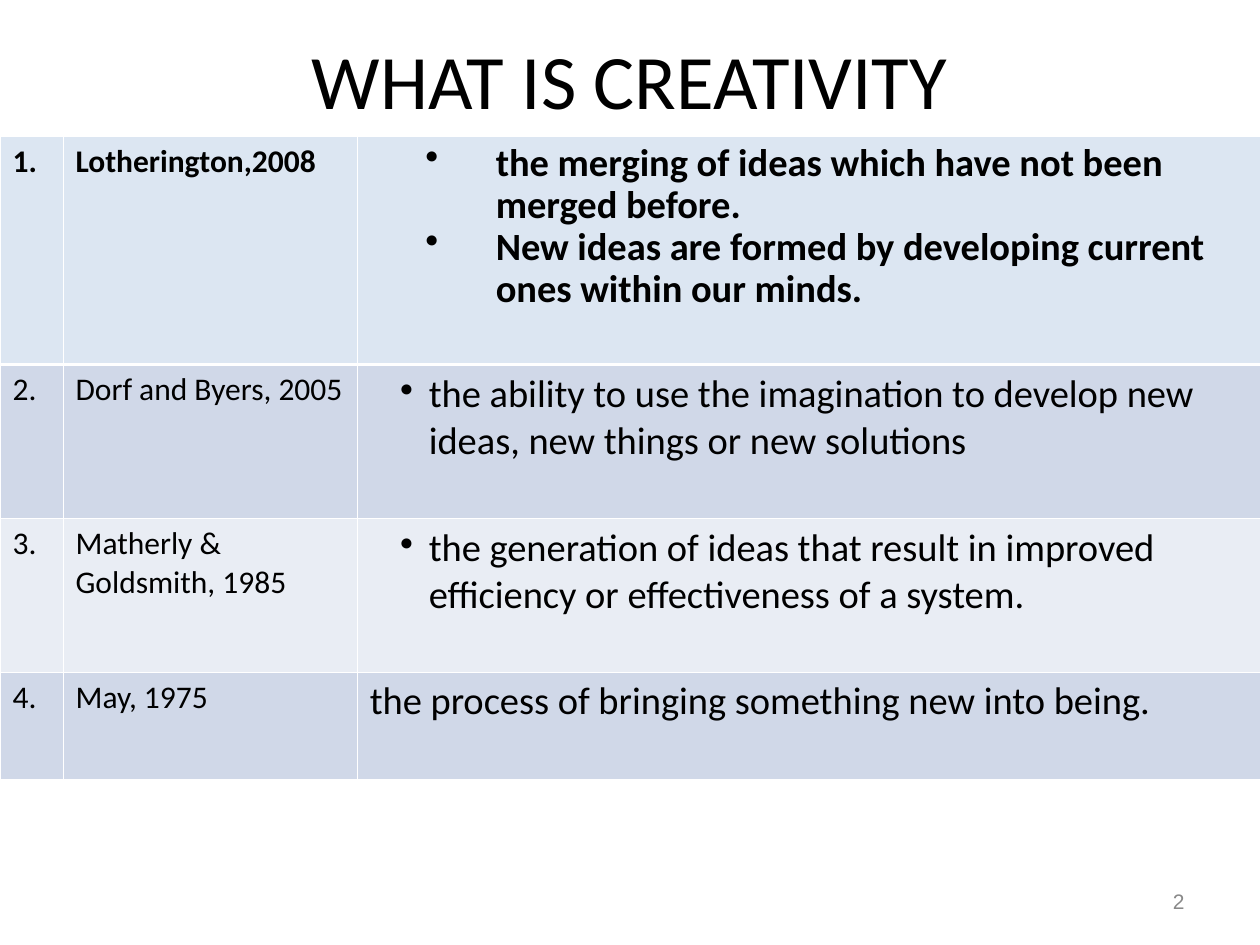
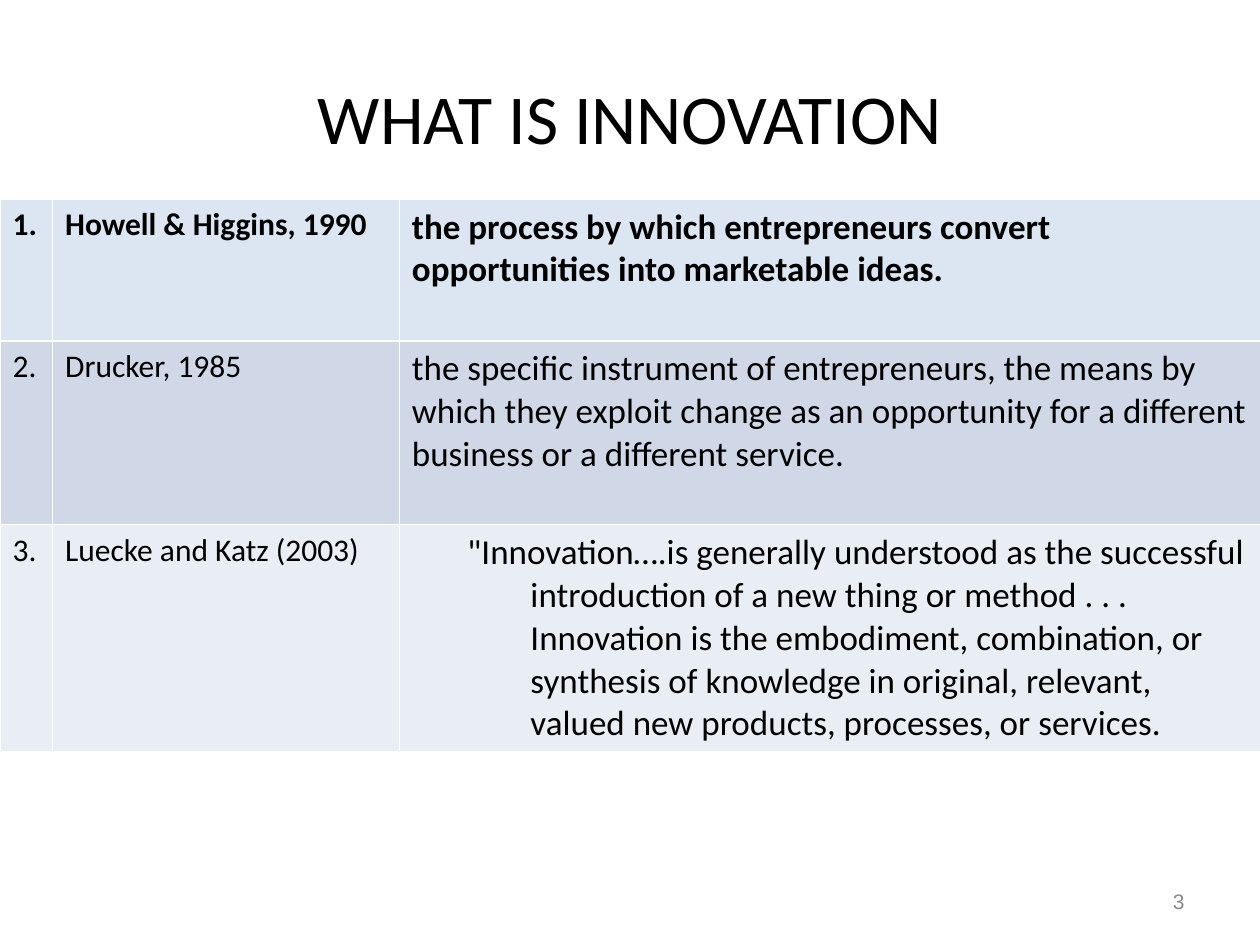
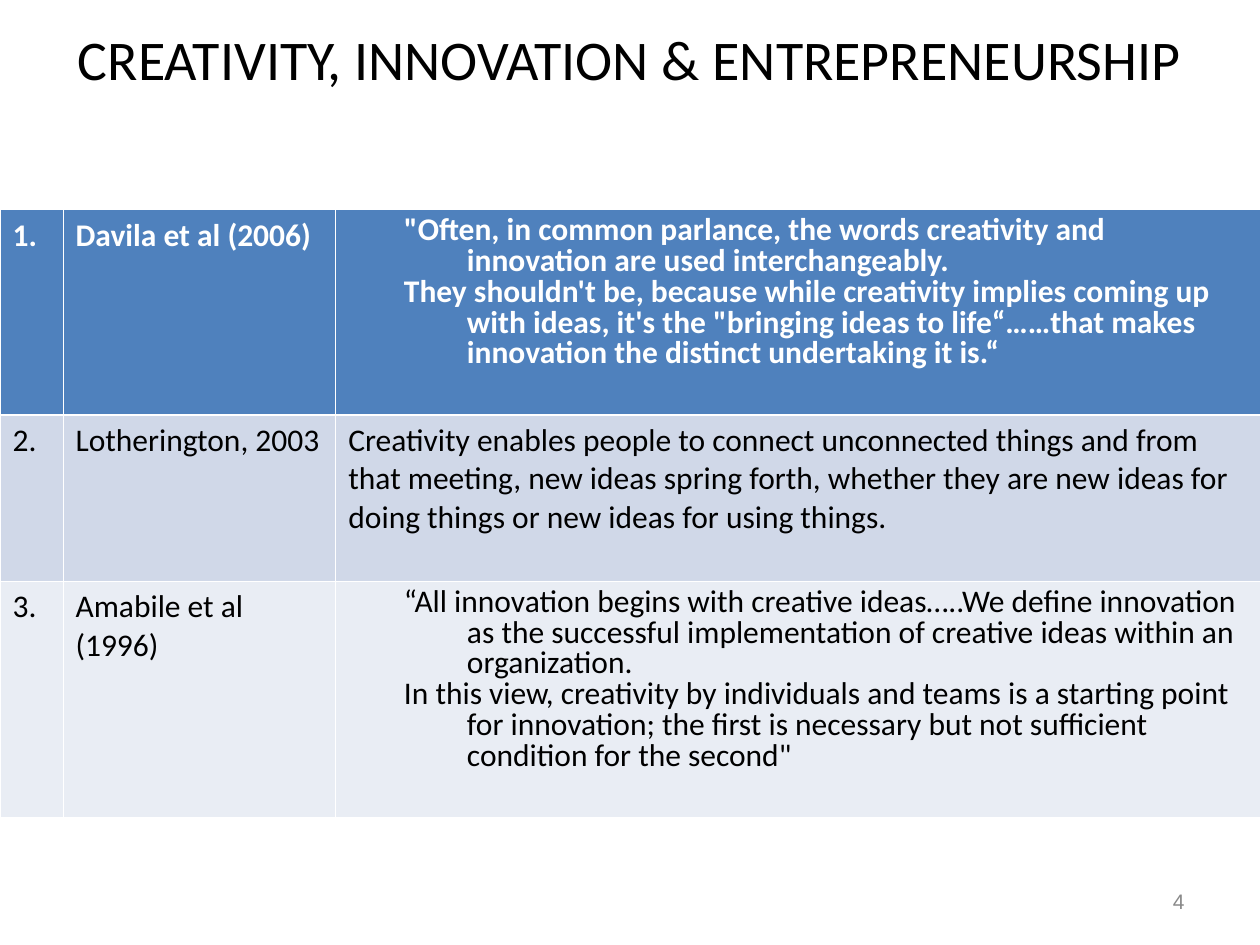
import pptx
import pptx.dml.color
import pptx.enum.text
import pptx.oxml.ns
import pptx.util
from lxml import etree
from pptx.util import Cm

ALIGN = pptx.enum.text.PP_ALIGN
MIDDLE = pptx.enum.text.MSO_ANCHOR.MIDDLE
SLIDE_WIDTH, SLIDE_HEIGHT = 25.4, 19.05
BLACK, WHITE, GRAY = "000000", "FFFFFF", "898989"
PALE, BLUE = "DCE6F2", "4F81BD"
BANDS = ["D0D8E8", "E9EDF4"]
THIN, THICK = 0.45, 1.47

PLAIN = {}
BULLET = {"margin": 1.19, "indent": -0.58, "bullet": "•"}
WIDE_BULLET = {"margin": 2.54, "indent": -1.42, "bullet": "•", "spacing": 0.9}
HANGING = {"margin": 2.39, "indent": -1.27}
TIGHT_HANGING = {**HANGING, "spacing": 0.8}


def color(value):
    return pptx.dml.color.RGBColor.from_string(value)


def write(frame, text, size=18, font="Calibri", fill=BLACK, bold=False, align=ALIGN.LEFT,
          margin=0, indent=0, spacing=None, bullet=None):
    frame.word_wrap = True
    frame.text = text
    for paragraph in frame.paragraphs:
        paragraph.alignment = align
        paragraph.line_spacing = spacing
        paragraph.font.size = pptx.util.Pt(size)
        paragraph.font.name = font
        paragraph.font.bold = bold
        paragraph.font.color.rgb = color(fill)
        for run in paragraph.runs:
            run.font.size = pptx.util.Pt(size)
            run.font.name = font
            run.font.bold = bold
            run.font.color.rgb = color(fill)
        properties = paragraph._p.get_or_add_pPr()
        properties.set("marL", str(Cm(margin)))
        properties.set("indent", str(Cm(indent)))
        if bullet:
            mark = pptx.oxml.parse_xml(
                f'<a:buChar {pptx.oxml.ns.nsdecls("a")} char="{bullet}"/>')
            properties.insert_element_before(mark, "a:tabLst", "a:defRPr", "a:extLst")


slides = [
    {
        "title": "WHAT IS CREATIVITY", "title_size": 44, "title_box": (1.27, 0, 22.86, 3.18),
        "top": 2.75, "columns": [1.27, 5.93], "rows": [4.6, 3.1, 3.1, 2.16],
        "size": 22, "header": (PALE, BLACK),
        "entries": [
            ("Lotherington,2008", WIDE_BULLET,
             "the merging of ideas which have not been merged before.\n"
             "New ideas are formed by developing current ones within our minds."),
            ("Dorf and Byers, 2005", BULLET,
             "the ability to use the imagination to develop new ideas, new things or new solutions"),
            ("Matherly & Goldsmith, 1985", BULLET,
             "the generation of ideas that result in improved efficiency or effectiveness of a system."),
            ("May, 1975", PLAIN, "the process of bringing something new into being."),
        ],
    },
    {
        "title": "WHAT IS INNOVATION", "title_size": 40, "title_box": (1.27, 0.76, 22.86, 3.18),
        "top": 4.02, "columns": [1.06, 6.99], "rows": [2.85, 3.71, 4.56],
        "size": 20, "header": (PALE, BLACK),
        "entries": [
            ("Howell & Higgins, 1990", PLAIN,
             "the process by which entrepreneurs convert opportunities into marketable ideas."),
            ("Drucker, 1985", PLAIN,
             "the specific instrument of entrepreneurs, the means by which they exploit change "
             "as an opportunity for a different business or a different service."),
            ("Luecke and Katz (2003)", HANGING,
             '"Innovation….is generally understood as the successful introduction of a new thing '
             "or method . . . Innovation is the embodiment, combination, or synthesis of knowledge "
             "in original, relevant, valued new products, processes, or services."),
        ],
    },
    {
        "title": "CREATIVITY, INNOVATION & ENTREPRENEURSHIP", "title_size": 32,
        "title_box": (0, 0, SLIDE_WIDTH, 2.33),
        "top": 4.23, "columns": [1.27, 5.5], "rows": [4.14, 3.35, 4.75],
        "size": 18, "header": (BLUE, WHITE),
        "entries": [
            ("Davila et al (2006)", TIGHT_HANGING,
             '"Often, in common parlance, the words creativity and innovation are used '
             "interchangeably.\n"
             "They shouldn't be, because while creativity implies coming up with ideas, it's the "
             '"bringing ideas to life“……that makes innovation the distinct undertaking it is.“'),
            ("Lotherington, 2003", PLAIN,
             "Creativity enables people to connect unconnected things and from that meeting, new "
             "ideas spring forth, whether they are new ideas for doing things or new ideas for "
             "using things."),
            ("Amabile et al (1996)", TIGHT_HANGING,
             "“All innovation begins with creative ideas…..We define innovation as the successful "
             "implementation of creative ideas within an organization.\n"
             "In this view, creativity by individuals and teams is a starting point for "
             "innovation; the first is necessary but not sufficient condition for the second\""),
        ],
    },
]

presentation = pptx.Presentation()
presentation.slide_width = Cm(SLIDE_WIDTH)
presentation.slide_height = Cm(SLIDE_HEIGHT)

for number, content in enumerate(slides, start=2):
    slide = presentation.slides.add_slide(presentation.slide_layouts[6])

    title = slide.shapes.add_textbox(*map(Cm, content["title_box"])).text_frame
    title.vertical_anchor = MIDDLE
    write(title, content["title"], size=content["title_size"], align=ALIGN.CENTER)

    footer = slide.shapes.add_textbox(Cm(18.2), Cm(17.66), Cm(5.93), Cm(1.01)).text_frame
    footer.vertical_anchor = MIDDLE
    write(footer, str(number), size=12, font="Arial", fill=GRAY, align=ALIGN.RIGHT)

    columns = content["columns"] + [SLIDE_WIDTH - sum(content["columns"])]
    rows = content["rows"]
    table = slide.shapes.add_table(len(rows), len(columns), 0, Cm(content["top"]),
                                   Cm(SLIDE_WIDTH), Cm(sum(rows))).table
    for column, width in zip(table.columns, columns):
        column.width = Cm(width)
    for row, height in zip(table.rows, rows):
        row.height = Cm(height)

    for index, (author, style, definition) in enumerate(content["entries"]):
        is_header = index == 0
        band, ink = content["header"] if is_header else (BANDS[(index - 1) % 2], BLACK)
        borders = {"lnL": THIN, "lnR": THIN,
                   "lnT": THICK if index == 1 else THIN,
                   "lnB": THICK if is_header else THIN}
        cells = [(f"{index + 1}.", 18, PLAIN), (author, 18, PLAIN),
                 (definition, content["size"], style)]
        for position, (text, size, format_) in enumerate(cells):
            cell = table.cell(index, position)
            write(cell.text_frame, text, size=size, fill=ink, bold=is_header, **format_)
            properties = cell._tc.get_or_add_tcPr()
            for side, weight in borders.items():
                line = etree.SubElement(properties, pptx.oxml.ns.qn(f"a:{side}"),
                                        w=str(pptx.util.Pt(weight)))
                solid = etree.SubElement(line, pptx.oxml.ns.qn("a:solidFill"))
                etree.SubElement(solid, pptx.oxml.ns.qn("a:srgbClr"), val=WHITE)
            cell.fill.solid()
            cell.fill.fore_color.rgb = color(band)

presentation.save("out.pptx")
